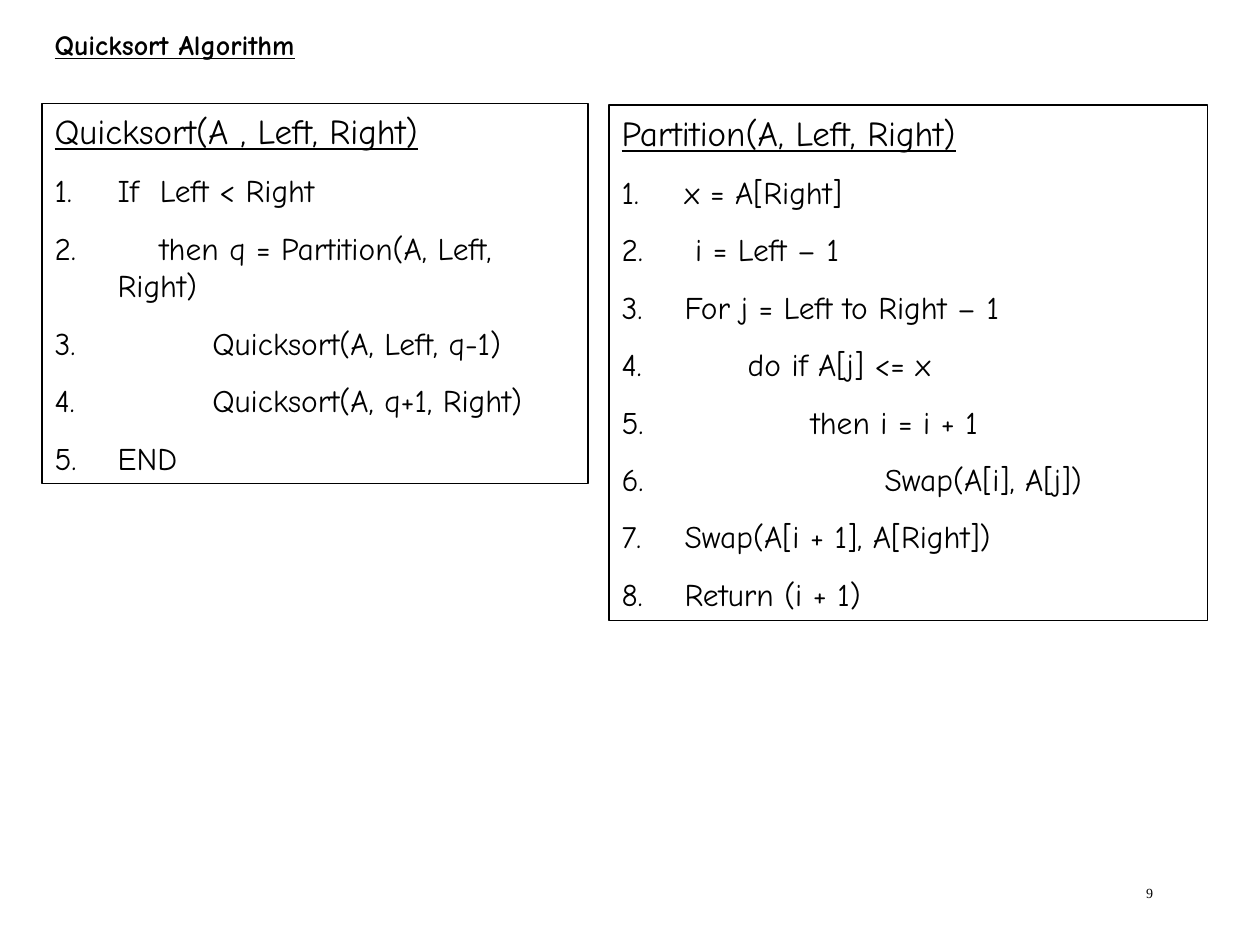
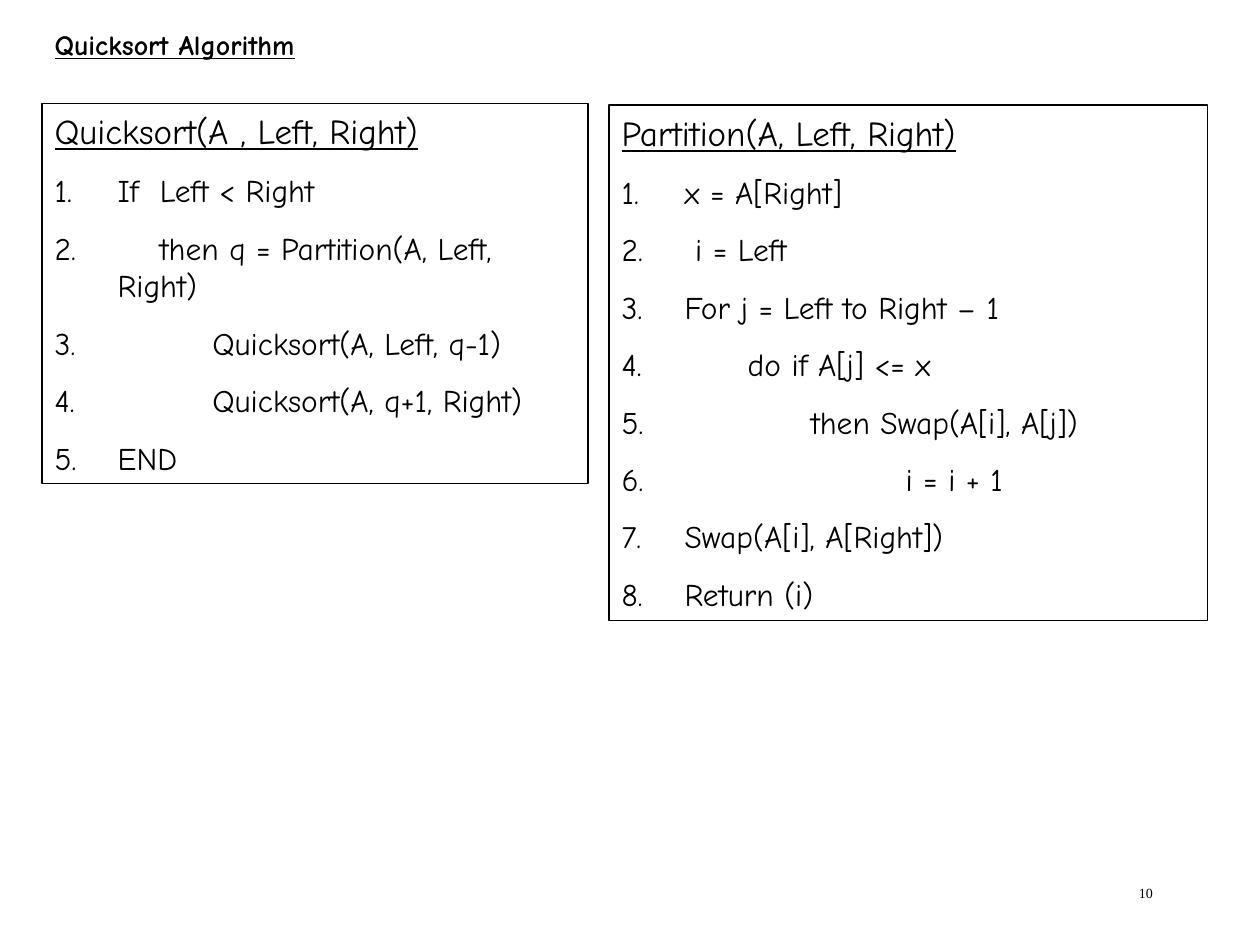
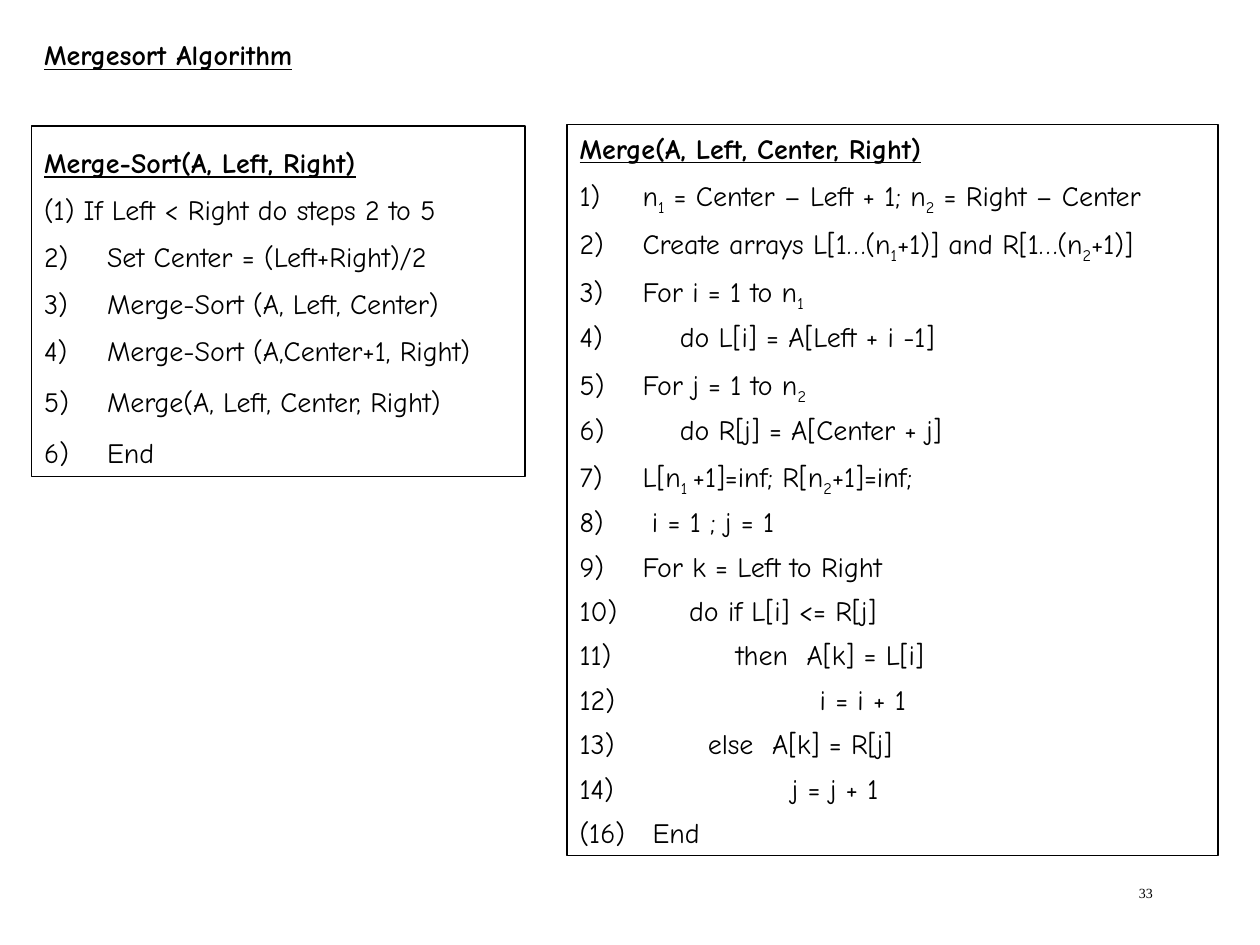
"""Build three slides of sorting pseudocode in framed panels."""
from lxml.etree import SubElement
from pptx import Presentation
from pptx.dml.color import RGBColor
from pptx.enum.text import MSO_ANCHOR, MSO_AUTO_SIZE, PP_ALIGN
from pptx.oxml.ns import qn
from pptx.util import Inches, Pt

BLACK = "000000"
CODE_FONT = "Comic Neue"
NUMBER_FONT = "Times New Roman"
STEP = Inches(1) / 12
NUMBER_BOX = (86, 82, 25, 6)
HANGING = 0.5

QUICK_STYLE = dict(heading_size=20, heading_bold=False, heading_spacing=1.0, size=18)
MERGE_STYLE = dict(heading_size=16, heading_bold=True, size=16)
QUICK_LIST = dict(numbering="arabicPeriod", before=11.2)
MERGE_LIST = dict(numbering="arabicParenR", before=10, spacing=0.8)

QUICKSORT = dict(
    QUICK_STYLE, box=(4, 9.84, 52, 36.24), heading="Quicksort(A , Left, Right)",
    groups=[dict(QUICK_LIST, lines=[
        "If  Left < Right",
        "    then q = Partition(A, Left, Right)",
        "         Quicksort(A, Left, q-1)",
        "         Quicksort(A, q+1, Right)",
        "END",
    ])],
)


def partition(start, inner, final):
    """Describe a partition panel from the lines that vary between versions."""
    lines = ["x = A[Right]", start, "For j = Left to Right – 1",
             "      do if A[j] <= x", *inner, *final]
    return dict(QUICK_STYLE, box=(58, 10, 57, 49.08), heading="Partition(A, Left, Right)",
                groups=[dict(QUICK_LIST, lines=lines)])


PARTITION_BEFORE = partition(
    " i = Left – 1",
    ["            then i = i + 1", "                   Swap(A[i], A[j])"],
    ["Swap(A[i + 1], A[Right])", "Return (i + 1)"],
)
PARTITION_AT = partition(
    " i = Left",
    ["            then Swap(A[i], A[j])", "                     i = i + 1"],
    ["Swap(A[i], A[Right])", "Return (i)"],
)
MERGE_SORT = dict(
    MERGE_STYLE, box=(3, 12, 47, 33.36), heading="Merge-Sort(A, Left, Right)",
    heading_spacing=1.4,
    groups=[
        dict(spacing=1.4, lines=["(1) If Left < Right do steps 2 to 5"]),
        dict(numbering="arabicParenR", first=2, spacing=1.4, lines=[
            "Set Center = (Left+Right)/2",
            "Merge-Sort (A, Left, Center)",
            "Merge-Sort (A,Center+1, Right)",
        ]),
        dict(numbering="arabicParenR", first=5, before=10, lines=[
            "Merge(A, Left, Center, Right)",
            "End",
        ]),
    ],
)
MERGE = dict(
    MERGE_STYLE, box=(54, 11.88, 62, 69.6), heading="Merge(A, Left, Center, Right)",
    heading_spacing=1.0,
    groups=[
        dict(MERGE_LIST, lines=[
            "n_1_ = Center – Left + 1; n_2_ = Right – Center",
            "Create arrays L[1…(n_1_+1)] and R[1…(n_2_+1)]",
            "For i = 1 to n_1",
            "    do L[i] = A[Left + i -1]",
            "For j = 1 to n_2",
            "    do R[j] = A[Center + j]",
            "L[n_1 _+1]=inf; R[n_2_+1]=inf;",
            " i = 1 ; j = 1",
            "For k = Left to Right",
            "     do if L[i] <= R[j]",
            "          then  A[k] = L[i]",
            "                   i = i + 1",
            "       else  A[k] = R[j]",
            "                j = j + 1",
        ]),
        dict(before=10, spacing=0.8, hanging=0.58, lines=["(16)\tEnd"]),
    ],
)

QUICK_TITLE = ("Quicksort Algorithm", (4, 2, 57, 4.44))
MERGE_TITLE = ("Mergesort Algorithm", (3, 3, 64, 4.44))
PAGES = [
    (QUICK_TITLE, [QUICKSORT, PARTITION_BEFORE], "9"),
    (QUICK_TITLE, [QUICKSORT, PARTITION_AT], "10"),
    (MERGE_TITLE, [MERGE_SORT, MERGE], "33"),
]


def color(value):
    """Turn a hex string into a colour."""
    return RGBColor.from_string(value)


def place(box, area):
    """Move a box to an area given in grid steps."""
    box.left, box.top, box.width, box.height = (round(STEP * part) for part in area)


def prepare(box, anchor=MSO_ANCHOR.TOP):
    """Give a box fixed-size wrapped text and return its frame."""
    frame = box.text_frame
    frame.word_wrap = True
    frame.auto_size = MSO_AUTO_SIZE.NONE
    frame.vertical_anchor = anchor
    return frame


def write(para, text, size, font=CODE_FONT, strong=False, underline=False):
    """Add text run by run, lowering every second part between underscores."""
    for index, part in enumerate(text.split("_")):
        if not part:
            continue
        span = para.add_run()
        span.text = part
        span.font.name = font
        span.font.size = Pt(size)
        span.font.bold = strong
        span.font.underline = underline
        span.font.color.rgb = color(BLACK)
        if index % 2:
            span.font._element.set("baseline", "-25000")


def arrange(para, numbering=None, first=1, before=0, spacing=1.0, hanging=HANGING):
    """Set the numbering, hanging indent and spacing of a paragraph."""
    properties = para._p.get_or_add_pPr()
    properties.set("marL", str(Inches(hanging)))
    properties.set("indent", str(-Inches(hanging)))
    if numbering:
        SubElement(properties, qn("a:buFontTx"))
        bullet = SubElement(properties, qn("a:buAutoNum"), type=numbering)
        if first > 1:
            bullet.set("startAt", str(first))
    else:
        SubElement(properties, qn("a:buNone"))
    para.alignment = PP_ALIGN.LEFT
    para.line_spacing = spacing
    para.space_before = Pt(before)
    para.space_after = Pt(0)


def fill_panel(box, panel):
    """Frame a body placeholder and write its heading and steps."""
    place(box, panel["box"])
    box.fill.background()
    box.line.color.rgb = color(BLACK)
    box.line.width = Pt(0.75)
    frame = prepare(box)
    heading = frame.paragraphs[0]
    arrange(heading, spacing=panel["heading_spacing"])
    write(heading, panel["heading"], panel["heading_size"],
          strong=panel["heading_bold"], underline=True)
    for group in panel["groups"]:
        layout = {key: value for key, value in group.items() if key != "lines"}
        for line in group["lines"]:
            para = frame.add_paragraph()
            arrange(para, **layout)
            write(para, line, panel["size"])


def add_page(deck, title, panels, number):
    """Add one slide with its title, two panels and page number."""
    page = deck.slides.add_slide(deck.slide_layouts.get_by_name("Two Content"))
    text, area = title
    title_box, *bodies = page.placeholders
    place(title_box, area)
    para = prepare(title_box).paragraphs[0]
    para.alignment = PP_ALIGN.LEFT
    write(para, text, 16, strong=True, underline=True)
    for box, panel in zip(bodies, panels):
        fill_panel(box, panel)
    number_box = page.shapes.add_textbox(0, 0, 0, 0)
    place(number_box, NUMBER_BOX)
    para = prepare(number_box, MSO_ANCHOR.MIDDLE).paragraphs[0]
    para.alignment = PP_ALIGN.RIGHT
    write(para, number, 8, NUMBER_FONT)


def main():
    """Build and save the deck."""
    deck = Presentation()
    deck.slide_width, deck.slide_height = Inches(10), Inches(7.5)
    for title, panels, number in PAGES:
        add_page(deck, title, panels, number)
    deck.save("out.pptx")


if __name__ == "__main__":
    main()
